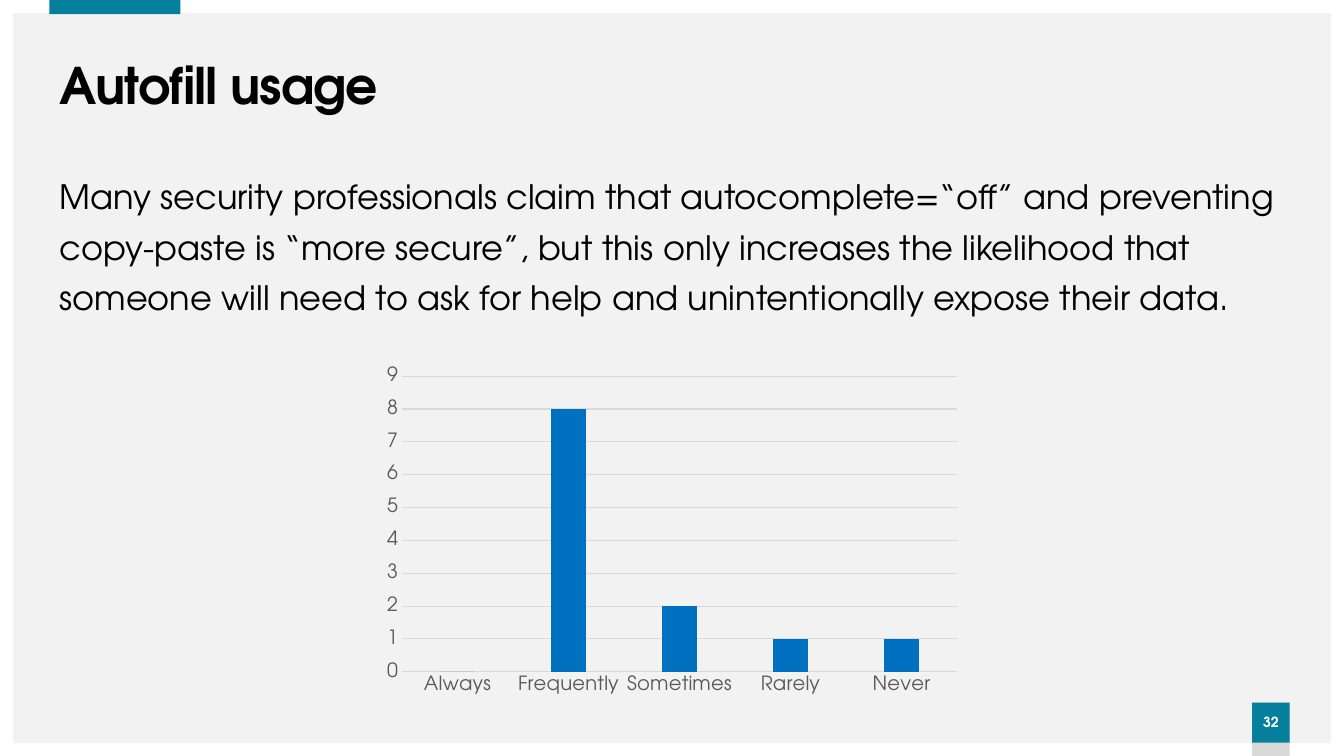
import collections

import pptx
import pptx.chart.data
import pptx.dml.color
import pptx.enum.chart
import pptx.enum.shapes
import pptx.enum.text
import pptx.oxml
import pptx.util
from pptx.dml.color import RGBColor

FONT = "TeX Gyre Adventor"
BLACK = RGBColor(0x00, 0x00, 0x00)
WHITE = RGBColor(0xFF, 0xFF, 0xFF)
PALE_GREY = RGBColor(0xF2, 0xF2, 0xF2)
RULE_GREY = RGBColor(0xD9, 0xD9, 0xD9)
LABEL_GREY = RGBColor(0x59, 0x59, 0x59)
TEAL = RGBColor(0x06, 0x7F, 0x9C)
BLUE = RGBColor(0x00, 0x70, 0xC0)

SLIDE_WIDTH = pptx.util.Inches(13.33)
SLIDE_HEIGHT = pptx.util.Inches(7.5)
COLUMN = SLIDE_WIDTH / 100
ROW = SLIDE_HEIGHT / 100
MARGIN = 3.68

Box = collections.namedtuple("Box", "left top width height")

CLAIM = (
    "Many security professionals claim that autocomplete=“off” and preventing "
    "copy-paste is “more secure”, but this only increases the likelihood that "
    "someone will need to ask for help and unintentionally expose their data."
)
ANSWERS = {"Always": 0, "Frequently": 8, "Sometimes": 2, "Rarely": 1, "Never": 1}


def grid(left, top, width, height):
    """Return the box covering the given columns and rows of the slide."""
    return Box(int(left * COLUMN), int(top * ROW), int(width * COLUMN), int(height * ROW))


def style_font(font, size, color, bold=False):
    """Apply the deck's typeface with a size, colour and weight."""
    font.name = FONT
    font.size = pptx.util.Pt(size)
    font.color.rgb = color
    font.bold = bold


def add_block(slide, box, color, preset=pptx.enum.shapes.MSO_SHAPE.RECTANGLE):
    """Add a flat filled shape without outline."""
    block = slide.shapes.add_shape(preset, *box)
    block.shadow.inherit = False
    block.fill.solid()
    block.fill.fore_color.rgb = color
    block.line.fill.background()
    return block


def add_border(slide, box):
    """Draw the white border and the teal tab on its top edge."""
    border = add_block(slide, box, WHITE, pptx.enum.shapes.MSO_SHAPE.FRAME)
    border.adjustments[0] = 0.017
    add_block(slide, grid(MARGIN, 0, 9.75, 1.87), TEAL)


def add_page_number(slide, box, number):
    """Draw the page number tile on its grey foot."""
    add_block(slide, box, RULE_GREY)
    tile = add_block(slide, box._replace(height=int(box.height * 0.75)), TEAL)
    frame = tile.text_frame
    frame.margin_left = frame.margin_right = 0
    frame.vertical_anchor = pptx.enum.text.MSO_ANCHOR.MIDDLE
    frame.text = number
    digits = frame.paragraphs[0]
    digits.alignment = pptx.enum.text.PP_ALIGN.CENTER
    digits.line_spacing = 0.9
    style_font(digits.runs[0].font, 10, WHITE, bold=True)


def fill_placeholder(placeholder, box, text, anchor, line_spacing):
    """Move a placeholder to the box, set its text and return the run."""
    placeholder.left, placeholder.top, placeholder.width, placeholder.height = box
    frame = placeholder.text_frame
    frame.text = text
    frame.word_wrap = True
    frame.auto_size = pptx.enum.text.MSO_AUTO_SIZE.NONE
    frame.vertical_anchor = anchor
    paragraph = frame.paragraphs[0]
    paragraph.alignment = pptx.enum.text.PP_ALIGN.LEFT
    paragraph.line_spacing = line_spacing
    paragraph.space_before = pptx.util.Pt(0)
    return paragraph.runs[0]


def add_title(slide, box, text):
    """Fill the title placeholder with tightly spaced bold text."""
    title = fill_placeholder(
        slide.shapes.title, box, text, pptx.enum.text.MSO_ANCHOR.MIDDLE, 0.9)
    style_font(title.font, 36, BLACK, bold=True)
    title._r.get_or_add_rPr().set("spc", "-60")


def add_claim(slide, box, text):
    """Fill the body placeholder with one unbulleted paragraph."""
    body = slide.placeholders[1]
    claim = fill_placeholder(body, box, text, pptx.enum.text.MSO_ANCHOR.TOP, 1.25)
    paragraph = body.text_frame.paragraphs[0]
    paragraph.space_after = pptx.util.Pt(12)
    properties = paragraph._p.get_or_add_pPr()
    properties.set("marL", "0")
    properties.set("indent", "0")
    properties.append(pptx.oxml.parse_xml(
        '<a:buNone xmlns:a="http://schemas.openxmlformats.org/drawingml/2006/main"/>'))
    style_font(claim.font, 24, BLACK)


def style_rule(line):
    """Give a chart line the thin grey look."""
    line.color.rgb = RULE_GREY
    line.width = pptx.util.Pt(0.75)


def add_usage_chart(slide, box, answers):
    """Add the column chart of answers per frequency."""
    usage = pptx.chart.data.CategoryChartData()
    usage.categories = list(answers)
    usage.add_series("Series 1", list(answers.values()))
    chart = slide.shapes.add_chart(
        pptx.enum.chart.XL_CHART_TYPE.COLUMN_CLUSTERED, *box, usage).chart
    style_font(chart.font, 10, BLACK)
    chart.has_title = False
    chart.has_legend = False

    columns = chart.plots[0]
    columns.vary_by_categories = False
    columns.gap_width = 219
    columns.overlap = -27
    columns.series[0].format.fill.solid()
    columns.series[0].format.fill.fore_color.rgb = BLUE

    frequency, count = chart.category_axis, chart.value_axis
    for axis in (frequency, count):
        axis.major_tick_mark = pptx.enum.chart.XL_TICK_MARK.NONE
        axis.minor_tick_mark = pptx.enum.chart.XL_TICK_MARK.NONE
        style_font(axis.tick_labels.font, 14, LABEL_GREY)
    style_rule(frequency.format.line)
    count.minimum_scale, count.maximum_scale, count.major_unit = 0, 9, 1
    count.format.line.fill.background()
    style_rule(count.major_gridlines.format.line)


def main():
    """Build the autofill usage slide and save it."""
    deck = pptx.Presentation()
    deck.slide_width, deck.slide_height = SLIDE_WIDTH, SLIDE_HEIGHT
    slide = deck.slides.add_slide(deck.slide_layouts[1])
    slide.background.fill.solid()
    slide.background.fill.fore_color.rgb = PALE_GREY
    add_border(slide, grid(0, 0, 100, 100))
    add_page_number(slide, grid(93.17, 92.93, 2.78, 7.07), "32")
    add_title(slide, grid(MARGIN, 7.33, 91.67, 8.67), "Autofill usage")
    add_claim(slide, grid(MARGIN, 21.33, 92.95, 23.6), CLAIM)
    add_usage_chart(slide, grid(27.91, 47.6, 44.19, 45.2), ANSWERS)
    deck.save("out.pptx")


if __name__ == "__main__":
    main()
